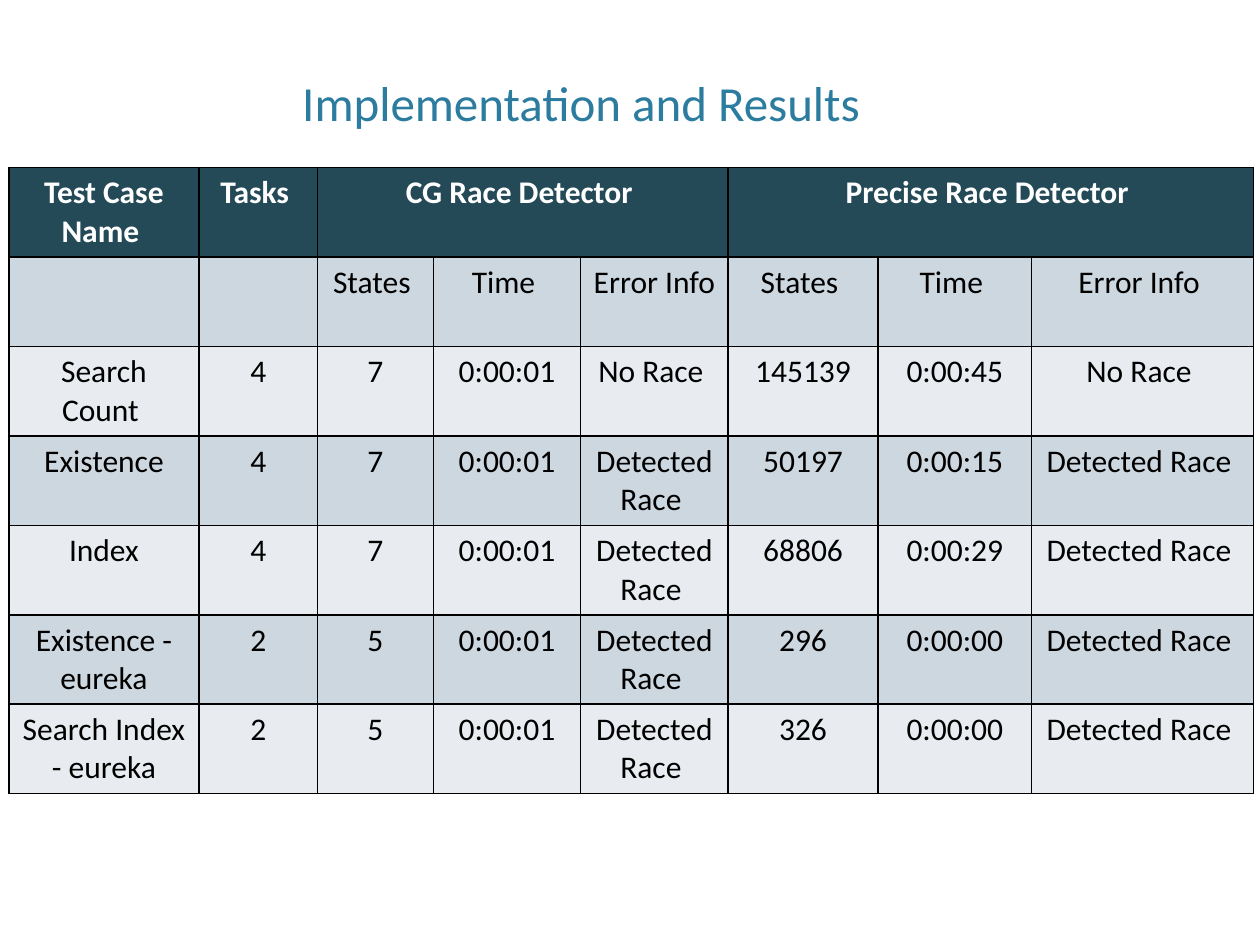
from lxml import etree
from pptx import Presentation
from pptx import util as u
from pptx.dml.color import RGBColor
from pptx.enum import text
from pptx.oxml import ns

TITLE = "Implementation and Results"
RACE = "Detected Race "
NONE = "No Race "
PARTS = ["States ", "Time ", "Error Info "]
HEADS = ["Test Case Name ", "Tasks ", "CG Race Detector ", "", "",
         "Precise Race Detector ", "", ""]
CASES = [
    ["Search Count ", "4", "7", "0:00:01", NONE, "145139", "0:00:45", NONE],
    ["Existence", "4", "7", "0:00:01", RACE, "50197", "0:00:15", RACE],
    ["Index", "4", "7", "0:00:01", RACE, "68806", "0:00:29", RACE],
    ["Existence - eureka", "2", "5", "0:00:01", RACE, "296", "0:00:00", RACE],
    ["Search Index - eureka", "2", "5", "0:00:01", RACE, "326", "0:00:00", RACE],
]
ROWS = [HEADS, ["", ""] + PARTS * 2] + CASES
WIDTHS = [1.51, 0.94, 0.92, 1.17, 1.17, 1.19, 1.22, 1.76]
HEIGHT = 0.71
SPANS = [(2, 4), (5, 7)]

THEME = {
    "font": "Calibri", "title": "2C7C9F", "head": "244A58",
    "bands": ["E8ECF0", "CDD7DF"], "light": "FFFFFF", "dark": "000000",
    "big": 28, "body": 18, "line": 1,
}


def style(para, size, color, bold=False):
    font = para.font
    font.name = THEME["font"]
    font.size = u.Pt(size)
    font.bold = bold
    font.color.rgb = RGBColor.from_string(color)


def border(cell):
    props = cell._tc.get_or_add_tcPr()
    for i, side in enumerate(["a:lnL", "a:lnR", "a:lnT", "a:lnB"]):
        line = etree.Element(ns.qn(side), w=str(u.Pt(THEME["line"])))
        fill = etree.SubElement(line, ns.qn("a:solidFill"))
        etree.SubElement(fill, ns.qn("a:srgbClr"), val=THEME["dark"])
        props.insert(i, line)


def add_title(slide):
    box = slide.shapes.add_textbox(*map(u.Inches, (2.3, 0.12, 5.41, 0.97)))
    frame = box.text_frame
    frame.word_wrap = True
    frame.vertical_anchor = text.MSO_ANCHOR.BOTTOM
    frame.text = TITLE
    style(frame.paragraphs[0], THEME["big"], THEME["title"])


def add_grid(slide):
    size = (0.07, 1.33, sum(WIDTHS), HEIGHT * len(ROWS))
    grid = slide.shapes.add_table(
        len(ROWS), len(WIDTHS), *map(u.Inches, size)).table
    for col, width in zip(grid.columns, WIDTHS):
        col.width = u.Inches(width)
    for r, row in enumerate(ROWS):
        grid.rows[r].height = u.Inches(HEIGHT)
        head = r == 0
        back = THEME["head"] if head else THEME["bands"][r % 2]
        ink = THEME["light"] if head else THEME["dark"]
        for c, words in enumerate(row):
            cell = grid.cell(r, c)
            cell.text = words
            cell.fill.solid()
            cell.fill.fore_color.rgb = RGBColor.from_string(back)
            para = cell.text_frame.paragraphs[0]
            para.alignment = text.PP_ALIGN.CENTER
            style(para, THEME["body"], ink, head)
            border(cell)
    for first, last in SPANS:
        grid.cell(0, first).merge(grid.cell(0, last))


def main():
    deck = Presentation()
    deck.slide_width, deck.slide_height = u.Inches(10), u.Inches(7.5)
    slide = deck.slides.add_slide(deck.slide_layouts[6])
    add_title(slide)
    add_grid(slide)
    deck.save("out.pptx")


if __name__ == "__main__":
    main()
